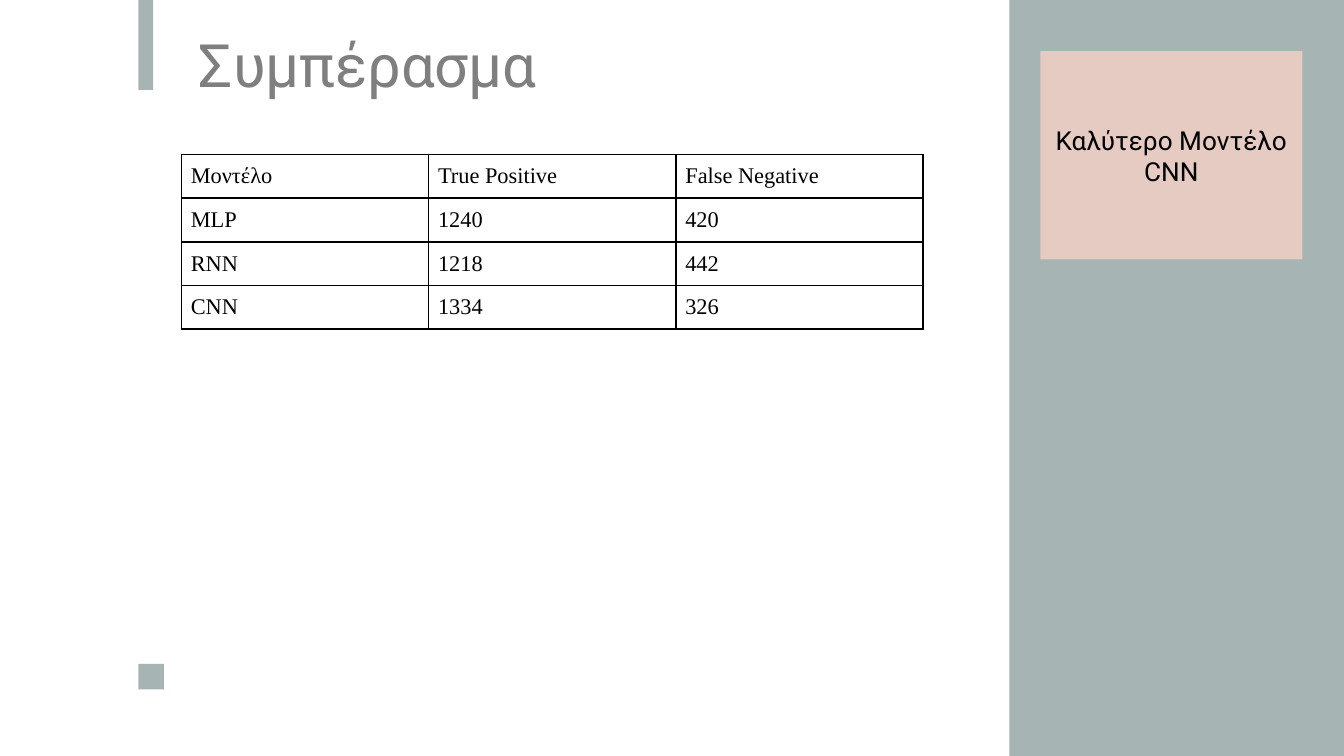
from typing import Any, NamedTuple

from lxml import etree
from pptx import Presentation
from pptx import util as u
from pptx.dml.color import RGBColor
from pptx.enum import shapes, text
from pptx.oxml.ns import qn

SLIDE_WIDTH = 10
SLIDE_HEIGHT = SLIDE_WIDTH * 9 / 16
PANEL_LEFT = 7.51
SAGE, ROSE, GREY, BLACK = "A6B4B3", "E5CBC1", "7F7F7F", "000000"
SIDES = ("left", "top", "right", "bottom")


class Block(NamedTuple):
    left: float
    top: float
    width: float
    height: float
    fill: str


BLOCKS = [
    Block(PANEL_LEFT, 0, SLIDE_WIDTH - PANEL_LEFT, SLIDE_HEIGHT, SAGE),
    Block(1.03, 0, 0.11, 0.67, SAGE),
    Block(1.03, 4.94, 0.19, 0.19, SAGE),
]
BEST_MODEL = Block(7.74, 0.38, 1.95, 1.55, ROSE)

RESULTS = [
    ("Μοντέλο", "True Positive", "False Negative"),
    ("MLP", "1240", "420"),
    ("RNN", "1218", "442"),
    ("CNN", "1334", "326"),
]
COLUMN_WIDTH, ROW_HEIGHT = 1.84, 0.32

TITLE_FONT = {"name": "Roboto", "size": u.Pt(32), "bold": False}
CALLOUT_FONT = {"name": "Roboto", "size": u.Pt(14)}
CELL_FONT = {"name": "Times New Roman", "size": u.Pt(12), "bold": False}


def rgb(value: str) -> RGBColor:
    return RGBColor.from_string(value)


def write(tf: Any, words: str, font: dict, colour: str, align: Any) -> None:
    p = tf.paragraphs[0]
    p.alignment = align
    r = p.add_run()
    r.text = words
    for name, value in font.items():
        setattr(r.font, name, value)
    r.font.color.rgb = rgb(colour)


def set_margins(target: Any, inches: float) -> None:
    for side in SIDES:
        setattr(target, f"margin_{side}", u.Inches(inches))


def add_block(s: Any, block: Block) -> Any:
    sp = s.shapes.add_shape(
        shapes.MSO_SHAPE.RECTANGLE, *(u.Inches(v) for v in block[:4])
    )
    sp.shadow.inherit = False
    sp.fill.solid()
    sp.fill.fore_color.rgb = rgb(block.fill)
    sp.line.fill.background()
    return sp


def add_borders(cell: Any, colour: str, points: float) -> None:
    tc_pr = cell._tc.get_or_add_tcPr()
    for side in SIDES:
        ln = etree.SubElement(
            tc_pr, qn(f"a:ln{side[0].upper()}"), w=str(u.Pt(points))
        )
        fill = etree.SubElement(ln, qn("a:solidFill"))
        etree.SubElement(fill, qn("a:srgbClr"), val=colour)


def add_results(s: Any, left: float, top: float) -> None:
    rows, cols = len(RESULTS), len(RESULTS[0])
    table = s.shapes.add_table(
        rows, cols, u.Inches(left), u.Inches(top),
        u.Inches(cols * COLUMN_WIDTH), u.Inches(rows * ROW_HEIGHT),
    ).table
    table.first_row = table.horz_banding = False
    for column in table.columns:
        column.width = u.Inches(COLUMN_WIDTH)
    for row, values in zip(table.rows, RESULTS):
        row.height = u.Inches(ROW_HEIGHT)
        for cell, value in zip(row.cells, values):
            set_margins(cell, 0.07)
            write(cell.text_frame, value, CELL_FONT, BLACK, text.PP_ALIGN.LEFT)
            add_borders(cell, BLACK, 1)
            cell.fill.background()


def main() -> None:
    prs = Presentation()
    prs.slide_width = u.Inches(SLIDE_WIDTH)
    prs.slide_height = u.Inches(SLIDE_HEIGHT)
    s = prs.slides.add_slide(prs.slide_layouts[5])

    for block in BLOCKS:
        add_block(s, block)

    title = s.shapes.title
    title.left, title.top = u.Inches(1.38), u.Inches(0.06)
    title.width, title.height = u.Inches(5.01), u.Inches(0.82)
    callout = add_block(s, BEST_MODEL)
    for sp in (title, callout):
        tf = sp.text_frame
        tf.word_wrap = True
        tf.auto_size = text.MSO_AUTO_SIZE.NONE
        tf.vertical_anchor = text.MSO_ANCHOR.MIDDLE
        set_margins(tf, 0.1)
    write(title.text_frame, "Συμπέρασμα", TITLE_FONT, GREY, text.PP_ALIGN.LEFT)
    write(callout.text_frame, "Καλύτερο Μοντέλο CNN", CALLOUT_FONT, BLACK,
          text.PP_ALIGN.CENTER)

    add_results(s, 1.35, 1.15)
    prs.save("out.pptx")


if __name__ == "__main__":
    main()
